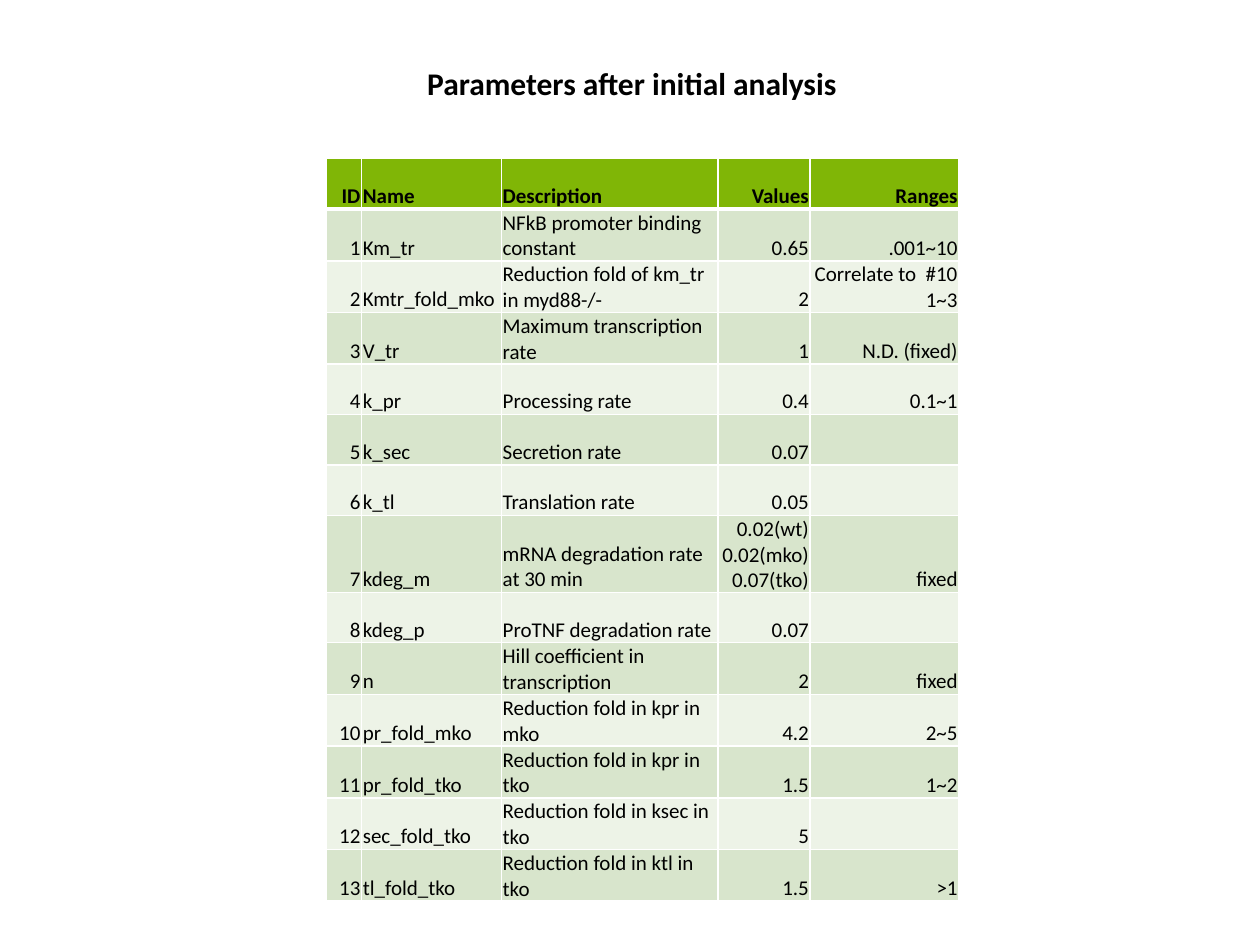
from dataclasses import dataclass
from typing import NamedTuple

from lxml.etree import SubElement
from pptx import Presentation
from pptx.dml.color import RGBColor as Rgb
from pptx.enum.text import MSO_ANCHOR as Anchor, MSO_AUTO_SIZE as Fit, PP_ALIGN as Align
from pptx.oxml.ns import qn
from pptx.util import Inches, Pt


@dataclass(frozen=True)
class Theme:
    """Colours, font and type sizes of the slide."""
    font: str = "Calibri"
    title: int = 18
    body: int = 12
    ink: str = "000000"
    head: str = "80B606"
    bands: tuple[str, str] = ("D8E5CC", "EDF3E7")
    rule: str = "FFFFFF"


class Column(NamedTuple):
    """Heading, width in inches and alignment of a column."""
    name: str
    width: float
    align: Align


class Param(NamedTuple):
    """One model parameter; its number follows from its place."""
    name: str
    about: str
    value: str
    span: str = ""


THEME = Theme()
COLUMNS = [
    Column("ID", 0.28, Align.RIGHT),
    Column("Name", 1.11, Align.LEFT),
    Column("Description", 1.72, Align.LEFT),
    Column("Values", 0.73, Align.RIGHT),
    Column("Ranges", 1.18, Align.RIGHT),
]
PARAMS = [
    Param("Km_tr", "NFkB promoter binding constant", "0.65", ".001~10"),
    Param("Kmtr_fold_mko", "Reduction fold of km_tr in myd88-/-", "2",
          "Correlate to  #10\n1~3"),
    Param("V_tr", "Maximum transcription rate", "1", "N.D. (fixed)"),
    Param("k_pr", "Processing rate", "0.4", "0.1~1"),
    Param("k_sec", "Secretion rate", "0.07"),
    Param("k_tl", "Translation rate", "0.05"),
    Param("kdeg_m", "mRNA degradation rate at 30 min",
          "0.02(wt)\n0.02(mko)\n0.07(tko)", "fixed"),
    Param("kdeg_p", "ProTNF degradation rate", "0.07"),
    Param("n", "Hill coefficient in transcription", "2", "fixed"),
    Param("pr_fold_mko", "Reduction fold in kpr in mko", "4.2", "2~5"),
    Param("pr_fold_tko", "Reduction fold in kpr in tko", "1.5", "1~2"),
    Param("sec_fold_tko", "Reduction fold in ksec in tko", "5"),
    Param("tl_fold_tko", "Reduction fold in ktl in tko", "1.5", ">1"),
]
ROW = 0.4


def style(frame, size: int, bold: bool, align: Align) -> None:
    """Format every paragraph of a text frame alike."""
    for para in frame.paragraphs:
        para.alignment = align
        font = para.font
        font.name, font.size, font.bold = THEME.font, Pt(size), bold
        font.color.rgb = Rgb.from_string(THEME.ink)


def add_rules(cell, base: int) -> None:
    """Draw the four cell borders, the lower one in its own width."""
    props = cell._tc.get_or_add_tcPr()
    for at, (side, width) in enumerate(
            [("lnL", 1), ("lnR", 1), ("lnT", 1), ("lnB", base)]):
        line = SubElement(props, qn(f"a:{side}"), w=str(Pt(width)))
        fill = SubElement(line, qn("a:solidFill"))
        SubElement(fill, qn("a:srgbClr"), val=THEME.rule)
        props.insert(at, line)


def fill_cell(cell, text: str, align: Align, color: str, head: bool) -> None:
    """Write and format one table cell."""
    cell.text = text
    cell.vertical_anchor = Anchor.BOTTOM
    cell.margin_left = cell.margin_right = cell.margin_top = Inches(0.01)
    cell.margin_bottom = 0
    cell.fill.solid()
    cell.fill.fore_color.rgb = Rgb.from_string(color)
    style(cell.text_frame, THEME.body, head, align)
    add_rules(cell, 3 if head else 1)


def add_params(slide) -> None:
    """Add the table of parameters."""
    rows = [[col.name for col in COLUMNS]]
    rows += [[str(num), *param] for num, param in enumerate(PARAMS, 1)]
    width = sum(col.width for col in COLUMNS)
    table = slide.shapes.add_table(
        len(rows), len(COLUMNS), Inches(2.59), Inches(1.26),
        Inches(width), Inches(ROW * len(rows))).table
    for col, spec in zip(table.columns, COLUMNS):
        col.width = Inches(spec.width)
    for r, row in enumerate(rows):
        table.rows[r].height = Inches(ROW)
        color = THEME.bands[(r - 1) % 2] if r else THEME.head
        for c, text in enumerate(row):
            fill_cell(table.cell(r, c), text, COLUMNS[c].align, color, r == 0)


def set_title(slide, text: str) -> None:
    """Place and format the slide title."""
    title = slide.shapes.title
    title.left, title.top = Inches(3.29), Inches(0.46)
    title.width, title.height = Inches(3.51), Inches(0.4)
    frame = title.text_frame
    frame.text = text
    frame.word_wrap = False
    frame.auto_size = Fit.SHAPE_TO_FIT_TEXT
    frame.vertical_anchor = Anchor.TOP
    style(frame, THEME.title, True, Align.LEFT)


def main() -> None:
    """Build and save the slide."""
    deck = Presentation()
    deck.slide_width, deck.slide_height = Inches(10), Inches(7.5)
    slide = deck.slides.add_slide(deck.slide_layouts[5])
    set_title(slide, "Parameters after initial analysis")
    add_params(slide)
    deck.save("out.pptx")


main()
